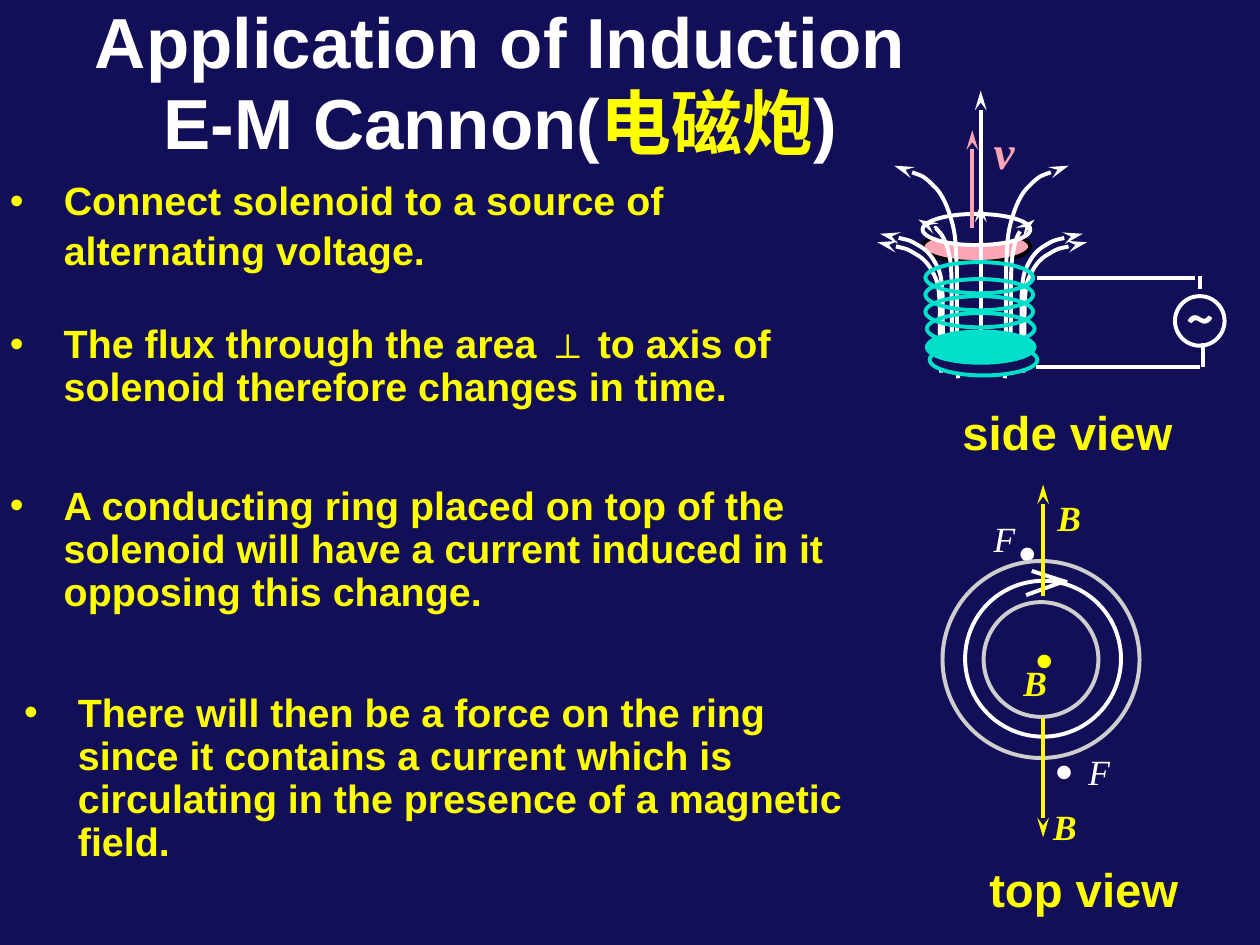
from dataclasses import dataclass
from typing import Optional

from lxml.etree import SubElement
from pptx import Presentation
from pptx.dml.color import RGBColor
from pptx.enum.shapes import MSO_CONNECTOR as Connector, MSO_SHAPE as Shape
from pptx.enum.text import MSO_ANCHOR as Anchor, MSO_AUTO_SIZE as AutoSize, PP_ALIGN as Align
from pptx.oxml.ns import qn
from pptx.util import Inches, Pt

NAVY = RGBColor(0x12, 0x0F, 0x58)
WHITE = RGBColor(0xFF, 0xFF, 0xFF)
YELLOW = RGBColor(0xFF, 0xFF, 0x00)
PINK = RGBColor(0xFD, 0xA4, 0xB5)
TEAL = RGBColor(0x00, 0xDF, 0xCA)
GREY = RGBColor(0xCE, 0xCE, 0xCE)
BLACK = RGBColor(0x00, 0x00, 0x00)

SANS, SERIF, MATH = "Arial", "Times New Roman", "Cambria"
COIL_SIZE = (0.76, 0.22)
HANGING = 0.38


@dataclass
class Ellipse:
    left: float
    top: float
    width: float
    height: float
    line: RGBColor
    fill: Optional[RGBColor] = None


@dataclass
class Line:
    start: tuple[float, float]
    end: tuple[float, float]
    color: RGBColor = WHITE
    arrow: bool = False


@dataclass
class FieldLine:
    start: tuple[float, float]
    end: tuple[float, float]


@dataclass
class Label:
    text: str
    left: float
    top: float
    width: float
    height: float
    size: int
    color: RGBColor
    font: str = SERIF
    bold: bool = True
    italic: bool = False
    spacing: float = 0.85


def coil(left: float, top: float, line: RGBColor, fill: Optional[RGBColor] = None) -> Ellipse:
    return Ellipse(left, top, *COIL_SIZE, line, fill)


def flux(left: float, top: float) -> Label:
    return Label("B", left, top, 0.31, 0.31, 18, YELLOW, italic=True)


def force(left: float, top: float) -> Label:
    return Label("F", left, top, 0.29, 0.37, 18, WHITE, bold=False, italic=True, spacing=1.06)


def dot(left: float, top: float, color: RGBColor) -> Label:
    return Label("•", left, top, 0.28, 0.49, 24, color, SANS, spacing=1.08)


def caption(text: str, left: float, top: float) -> Label:
    return Label(text, left, top, 1.78, 0.47, 24, YELLOW, SANS, spacing=1.04)


# Shared outline of a field line after its start: shares of its run and rise, three to a cubic curve
CURVE = [(0.02, 0.21), (0.02, 0.4), (0.02, 0.52), (0.04, 0.65), (0.04, 0.68), (0.11, 0.75),
         (0.16, 0.8), (0.24, 0.87), (0.4, 0.91), (0.56, 0.96), (0.91, 0.99), (1, 1)]

LAUNCHED_RING = [
    coil(6.51, 1.63, BLACK, PINK),
    coil(6.51, 1.51, WHITE, NAVY),
    Line((6.86, 1.61), (6.86, 0.92), PINK, True),
    Label("v", 6.94, 0.89, 0.29, 0.4, 24, PINK, italic=True, spacing=0.87),
]
TOP_VIEW = [
    dot(7.12, 3.63, WHITE), dot(7.38, 5.17, WHITE),
    force(6.94, 3.6), force(7.61, 5.25),
    Ellipse(6.65, 3.96, 1.39, 1.39, GREY, NAVY),
    Ellipse(6.94, 4.25, 0.81, 0.81, GREY, NAVY),
    dot(7.24, 4.39, YELLOW), flux(7.15, 4.68),
    Ellipse(6.81, 4.1, 1.1, 1.1, WHITE),
    Line((7.28, 4.03), (7.53, 4.11)), Line((7.49, 4.11), (7.24, 4.2)),
    Line((7.36, 4.21), (7.36, 3.42), YELLOW, True), flux(7.39, 3.52),
    Line((7.36, 5.07), (7.36, 5.91), YELLOW, True), flux(7.36, 5.7),
    caption("top view", 6.91, 6.03),
]
FIELD = [
    FieldLine((6.64, 2.63), (6.19, 1.71)), FieldLine((6.76, 2.67), (6.31, 1.17)),
    FieldLine((7.22, 2.63), (7.67, 1.71)), FieldLine((7.09, 2.67), (7.54, 1.17)),
    Line((6.92, 2.63), (6.92, 0.64), arrow=True),
    FieldLine((6.66, 2.56), (6.21, 1.65)), FieldLine((7.2, 2.56), (7.64, 1.65)),
    Line((6.92, 2.56), (6.92, 1.43), arrow=True),
    FieldLine((6.72, 2.47), (6.48, 1.55)), FieldLine((7.13, 2.47), (7.3, 1.55)),
]
SOLENOID = [
    coil(6.56, 2.43, TEAL, NAVY), coil(6.54, 2.34, TEAL, TEAL), coil(6.54, 2.21, TEAL),
    *(coil(6.53, top, TEAL) for top in (2.09, 1.97, 1.85)),
    Line((7.32, 1.96), (8.43, 1.96)), Line((7.31, 2.59), (8.47, 2.59)),
    Ellipse(8.29, 2.09, 0.35, 0.35, WHITE),
    Line((8.49, 2.42), (8.49, 2.59)), Line((8.47, 2.04), (8.47, 1.95)),
    Label("~", 8.3, 2.05, 0.34, 0.4, 24, WHITE, MATH),
    caption("side view", 6.72, 2.8),
]
POINTS = [
    (0, 2.26, 0.66, "The flux through the area ⊥ to axis of solenoid therefore changes in time."),
    (0, 3.4, 0.97, "A conducting ring placed on top of the solenoid will have a current induced in it "
                   "opposing this change."),
    (0.1, 4.86, 1.27, "There will then be a force on the ring since it contains a current which is "
                      "circulating in the presence of a magnetic field."),
]


def place(shape, left: float, top: float, width: float, height: float) -> None:
    shape.left, shape.top = Inches(left), Inches(top)
    shape.width, shape.height = Inches(width), Inches(height)


def set_frame(frame, wrap: bool = True, auto_size=AutoSize.SHAPE_TO_FIT_TEXT) -> None:
    frame.word_wrap, frame.auto_size = wrap, auto_size
    frame.margin_left = frame.margin_right = Inches(0.07)
    frame.margin_top = frame.margin_bottom = Inches(0.03)


def set_font(font, name: str, size: int, color: RGBColor, bold: bool = True, italic: bool = False) -> None:
    font.name, font.size, font.bold, font.italic = name, Pt(size), bold, italic
    font.color.rgb = color


def stroke(shape, color: RGBColor, arrow: bool = False) -> None:
    shape.line.color.rgb, shape.line.width = color, Pt(2)
    if arrow:
        SubElement(shape.line._get_or_add_ln(), qn("a:tailEnd"), type="stealth", w="med", len="lg")


def set_bullet(para, text: str, space_before: float) -> None:
    para.text = text
    props = para._p.get_or_add_pPr()
    props.set("marL", str(Inches(HANGING)))
    props.set("indent", str(-Inches(HANGING)))
    SubElement(SubElement(props, qn("a:buClr")), qn("a:srgbClr"), val=str(YELLOW))
    SubElement(props, qn("a:buFont"), typeface=SANS)
    SubElement(props, qn("a:buChar"), char="•")
    para.line_spacing, para.space_before = 0.91, Pt(space_before)
    set_font(para.font, SANS, 20, YELLOW)


def draw_field_line(page, field: FieldLine) -> None:
    (x0, y0), (x1, y1) = field.start, field.end
    knots = [(Inches(x0 + run * (x1 - x0)), Inches(y0 + rise * (y1 - y0))) for run, rise in CURVE]
    builder = page.shapes.build_freeform(Inches(x0), Inches(y0))
    builder.add_line_segments(knots, close=False)
    shape = builder.convert_to_shape()
    # Turn each three straight segments into one cubic curve
    segments = list(shape._element.iter(qn("a:lnTo")))
    outline = segments[0].getparent()
    for first in range(0, len(segments), 3):
        cubic = SubElement(outline, qn("a:cubicBezTo"))
        for segment in segments[first:first + 3]:
            cubic.append(segment[0])
            outline.remove(segment)
    shape.shadow.inherit = False
    shape.fill.background()
    stroke(shape, WHITE, arrow=True)


def draw(page, part: Ellipse | Line | FieldLine | Label) -> None:
    if isinstance(part, FieldLine):
        draw_field_line(page, part)
    elif isinstance(part, Line):
        line = page.shapes.add_connector(Connector.STRAIGHT, *map(Inches, part.start + part.end))
        stroke(line, part.color, part.arrow)
        SubElement(line._element.spPr, qn("a:effectLst"))
    elif isinstance(part, Ellipse):
        box = map(Inches, (part.left, part.top, part.width, part.height))
        shape = page.shapes.add_shape(Shape.OVAL, *box)
        shape.shadow.inherit = False
        if part.fill is None:
            shape.fill.background()
        else:
            shape.fill.solid()
            shape.fill.fore_color.rgb = part.fill
        stroke(shape, part.line)
    else:
        box = page.shapes.add_textbox(*map(Inches, (part.left, part.top, part.width, part.height)))
        set_frame(box.text_frame, wrap=part.width > 1)
        para = box.text_frame.paragraphs[0]
        para.text, para.line_spacing = part.text, part.spacing
        set_font(para.font, part.font, part.size, part.color, part.bold, part.italic)


def main() -> None:
    deck = Presentation()
    deck.slide_width, deck.slide_height = Inches(8.89), Inches(6.67)
    page = deck.slides.add_slide(deck.slide_layouts[1])
    page.background.fill.solid()
    page.background.fill.fore_color.rgb = NAVY

    # Title
    title, body = page.placeholders
    place(title, 0.57, 0, 5.92, 1.2)
    set_frame(title.text_frame)
    title.text_frame.vertical_anchor = Anchor.MIDDLE
    para = title.text_frame.paragraphs[0]
    para.alignment, para.line_spacing = Align.CENTER, 0.95
    set_font(para.font, SANS, 36, WHITE)
    para.text = "Application of Induction\vE-M Cannon("
    for text, color in (("电磁炮", YELLOW), (")", WHITE)):
        span = para.add_run()
        span.text, span.font.color.rgb = text, color

    # Bulleted points
    place(body, 0, 1.25, 5.96, 0.72)
    set_frame(body.text_frame, auto_size=AutoSize.NONE)
    para = body.text_frame.paragraphs[0]
    set_bullet(para, "Connect solenoid to a source of alternating voltage.", 13.8)
    span = para.add_run()
    span.text, span.font.size = " ", Pt(24)
    for left, top, height, text in POINTS:
        box = page.shapes.add_textbox(*map(Inches, (left, top, 5.96, height)))
        set_frame(box.text_frame)
        set_bullet(box.text_frame.paragraphs[0], text, 11.5)

    # Side and top views, back to front
    for part in LAUNCHED_RING + TOP_VIEW + FIELD + SOLENOID:
        draw(page, part)
    deck.save("out.pptx")


if __name__ == "__main__":
    main()
